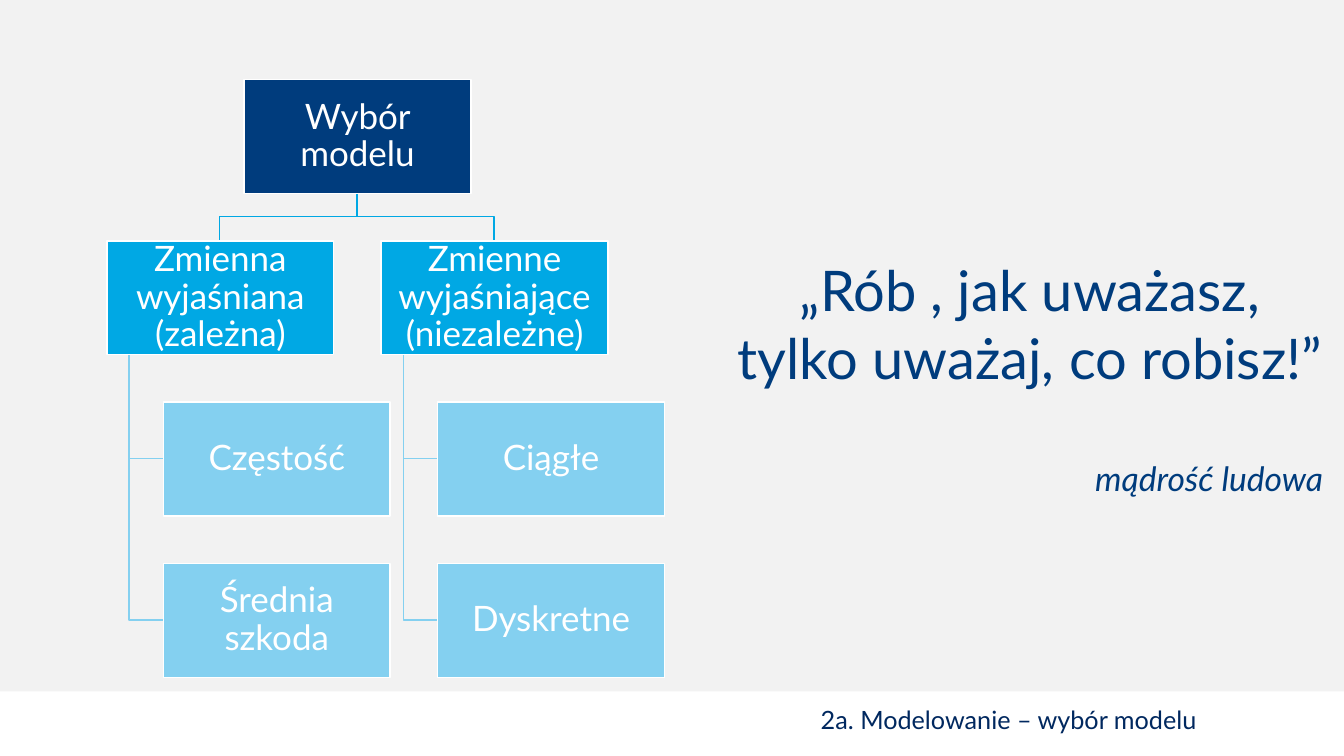
from dataclasses import dataclass

from pptx import Presentation
from pptx import util as u
from pptx.dml.color import RGBColor
from pptx.enum import shapes, text

PX = 9144  # EMU per px, 100 px to the inch


@dataclass(frozen=True)
class Theme:
    font: str = "Lato"
    panel: str = "F2F2F2"
    white: str = "FFFFFF"
    navy: str = "003C7D"
    blue: str = "00A8E4"
    sky: str = "84D0F0"
    heading: str = "00285F"
    quote_size: int = 40
    box_size: int = 25
    author_size: int = 24
    heading_size: int = 18


THEME = Theme()
CENTER, RIGHT = text.PP_ALIGN.CENTER, text.PP_ALIGN.RIGHT

MODEL_TREE = ("Wybór modelu", [
    ("Zmienna wyjaśniana (zależna)", ["Częstość", "Średnia szkoda"]),
    ("Zmienne wyjaśniające (niezależne)", ["Ciągłe", "Dyskretne"]),
])


def px(*lengths):
    return [u.Emu(n * PX) for n in lengths]


def rgb(color):
    return RGBColor.from_string(color)


def add_run(p, words, size, color, italic=False):
    r = p.add_run()
    r.text = words
    r.font.name = THEME.font
    r.font.size = u.Pt(size)
    r.font.color.rgb = rgb(color)
    r.font.bold = False
    r.font.italic = italic


def add_rect(slide, box, fill, line=None):
    sp = slide.shapes.add_shape(shapes.MSO_SHAPE.RECTANGLE, *px(*box))
    sp.shadow.inherit = False
    sp.fill.solid()
    sp.fill.fore_color.rgb = rgb(fill)
    if line:
        sp.line.color.rgb = rgb(line)
        sp.line.width = u.Pt(1)
    else:
        sp.line.fill.background()
    return sp


def add_node(slide, box, words, fill):
    sp = add_rect(slide, box, fill, THEME.white)
    tf = sp.text_frame
    tf.word_wrap = True
    tf.vertical_anchor = text.MSO_ANCHOR.MIDDLE
    tf.margin_left, tf.margin_top, tf.margin_right, tf.margin_bottom = px(2, 2, 2, 2)
    p = tf.paragraphs[0]
    p.alignment = CENTER
    p.line_spacing = 0.9
    add_run(p, words, THEME.box_size, THEME.white)


def add_branch(slide, points, color):
    builder = slide.shapes.build_freeform(*points[0], scale=PX)
    builder.add_line_segments(points[1:], close=False)
    sp = builder.convert_to_shape()
    sp.shadow.inherit = False
    sp.fill.background()
    sp.line.color.rgb = rgb(color)
    sp.line.width = u.Pt(1)


def build_tree(slide, box, tree):
    left, top, width, height = box
    node_w, node_h, indent, stem = 225, 113, 56, 22
    root, groups = tree
    col_step = (width - indent - node_w) // (len(groups) - 1)
    row_step = (height - node_h) // 3
    root_x = left + (len(groups) - 1) * col_step // 2
    root_mid, root_bottom = root_x + node_w // 2, top + node_h
    group_y = top + row_step
    bus_y = (root_bottom + group_y) // 2

    # Branches go behind the boxes, which are gathered first
    nodes = [(root_x, top, root, THEME.navy)]
    for col, (group, leaves) in enumerate(groups):
        x = left + col * col_step
        mid, stem_x = x + node_w // 2, x + stem
        nodes.append((x, group_y, group, THEME.blue))
        add_branch(slide, [(root_mid, root_bottom), (root_mid, bus_y),
                           (mid, bus_y), (mid, group_y)], THEME.blue)
        for row, leaf in enumerate(leaves, start=1):
            y = group_y + row * row_step
            leaf_mid = y + node_h // 2
            nodes.append((x + indent, y, leaf, THEME.sky))
            add_branch(slide, [(stem_x, group_y + node_h), (stem_x, leaf_mid),
                               (x + indent, leaf_mid)], THEME.sky)

    # Boxes
    for x, y, words, fill in nodes:
        add_node(slide, (x, y, node_w, node_h), words, fill)


def build_quote(slide, box):
    tf = slide.shapes.add_textbox(*px(*box)).text_frame
    tf.word_wrap = True
    p = tf.paragraphs[0]
    p.alignment = CENTER
    add_run(p, "„Rób , jak uważasz,", THEME.quote_size, THEME.navy)
    p.add_line_break()
    add_run(p, "tylko uważaj, co robisz!”", THEME.quote_size, THEME.navy)
    # Author, one quote line lower
    p = tf.add_paragraph()
    p.alignment = RIGHT
    p.space_before = u.Pt(THEME.quote_size * 1.2)
    add_run(p, "mądrość ludowa", THEME.author_size, THEME.navy, italic=True)


def build_heading(slide, box, words):
    sp = slide.shapes.title
    sp.left, sp.top, sp.width, sp.height = px(*box)
    tf = sp.text_frame
    tf.word_wrap = True
    tf.auto_size = text.MSO_AUTO_SIZE.SHAPE_TO_FIT_TEXT
    tf.vertical_anchor = text.MSO_ANCHOR.TOP
    p = tf.paragraphs[0]
    p.alignment = RIGHT
    add_run(p, words, THEME.heading_size, THEME.heading)


def main():
    prs = Presentation()
    prs.slide_width, prs.slide_height = px(1333, 750)
    slide = prs.slides.add_slide(prs.slide_layouts[5])
    add_rect(slide, (0, 0, 1333, 686), THEME.panel)
    build_tree(slide, (106, 79, 553, 593), MODEL_TREE)
    build_quote(slide, (721, 249, 601, 252))
    build_heading(slide, (644, 694, 559, 40), "2a. Modelowanie – wybór modelu ")
    prs.save("out.pptx")


if __name__ == "__main__":
    main()
